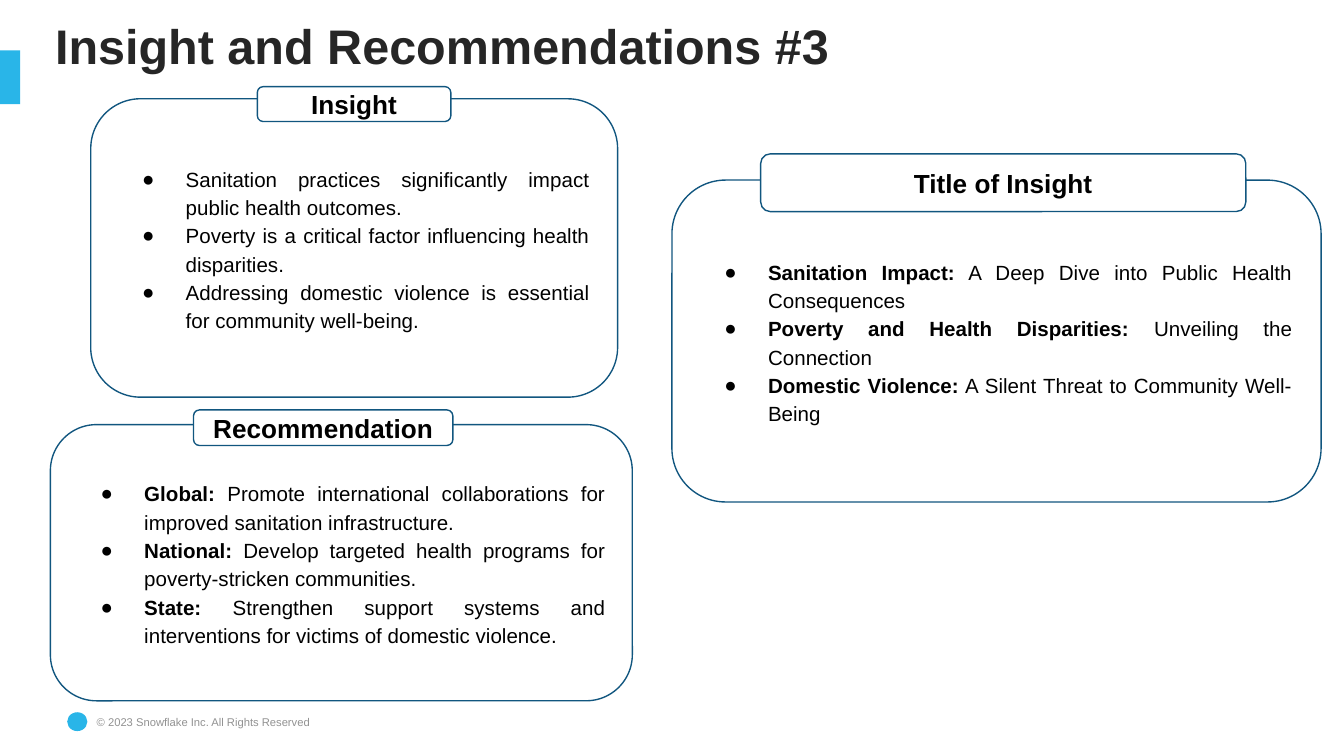
"""Build the insight and recommendations slide with three captioned cards."""
import pptx
import pptx.util
import pptx.dml.color
import pptx.enum.shapes
import pptx.enum.text
import pptx.oxml.ns
import lxml.etree

PX = 4572
SIZE = (2000, 1125)
BLUE, NAVY, WHITE, BLACK = "29B5E8", "11567F", "FFFFFF", "000000"
TITLE = "Insight and Recommendations #3"
CREDIT = "© 2023 Snowflake Inc. All Rights Reserved"
CARDS = [
    {"box": (75, 632, 866, 411), "tab": (288, 610, 386, 53),
     "head": "Recommendation",
     "items": [
         ("Global:", " Promote international collaborations for improved sanitation infrastructure."),
         ("National:", " Develop targeted health programs for poverty-stricken communities."),
         ("State:", " Strengthen support systems and interventions for victims of domestic violence.")]},
    {"box": (135, 147, 784, 444), "tab": (383, 129, 288, 52),
     "head": "Insight",
     "items": [
         ("", "Sanitation practices significantly impact public health outcomes."),
         ("", "Poverty is a critical factor influencing health disparities."),
         ("", "Addressing domestic violence is essential for community well-being.")]},
    {"box": (1000, 268, 966, 479), "tab": (1132, 229, 722, 86),
     "head": "Title of Insight",
     "items": [
         ("Sanitation Impact:", " A Deep Dive into Public Health Consequences"),
         ("Poverty and Health Disparities:", " Unveiling the Connection"),
         ("Domestic Violence:", " A Silent Threat to Community Well-Being")]},
]
KIND = pptx.enum.shapes.MSO_SHAPE
ALIGN = pptx.enum.text.PP_ALIGN
ANCHOR = pptx.enum.text.MSO_ANCHOR


def tint(code):
    return pptx.dml.color.RGBColor.from_string(code)


def style(run, size, code, bold=False):
    font = run.font
    font.name, font.size, font.bold = "Arial", pptx.util.Pt(size), bold
    font.color.rgb = tint(code)


def place(shape, box):
    shape.left, shape.top, shape.width, shape.height = (n * PX for n in box)


def pad(frame, gap):
    frame.margin_left = frame.margin_right = gap * PX
    frame.margin_top = frame.margin_bottom = gap * PX


def plain(slide, kind, box, fill, line=None):
    shape = slide.shapes.add_shape(kind, *(n * PX for n in box))
    shape.shadow.inherit = False
    shape.fill.solid()
    shape.fill.fore_color.rgb = tint(fill)
    if line:
        shape.line.color.rgb = tint(line)
        shape.line.width = pptx.util.Pt(0.75)
    else:
        shape.line.fill.background()
    return shape


def panel(slide, box):
    shape = plain(slide, KIND.ROUNDED_RECTANGLE, box, WHITE, NAVY)
    frame = shape.text_frame
    frame.word_wrap = True
    frame.vertical_anchor = ANCHOR.MIDDLE
    pad(frame, 20)
    return frame


def bullet(para):
    props = para._p.get_or_add_pPr()
    props.set("marL", str(100 * PX))
    props.set("indent", str(-65 * PX))
    name = pptx.oxml.ns.qn
    shade = lxml.etree.SubElement(props, name("a:buClr"))
    lxml.etree.SubElement(shade, name("a:srgbClr"), val=BLACK)
    lxml.etree.SubElement(props, name("a:buFont"), typeface="Arial")
    lxml.etree.SubElement(props, name("a:buChar"), char="●")


def card(slide, data):
    frame = panel(slide, data["box"])
    for rank, (lead, rest) in enumerate(data["items"]):
        para = frame.add_paragraph() if rank else frame.paragraphs[0]
        para.alignment = ALIGN.JUSTIFY
        para.line_spacing = 1.15
        bullet(para)
        for text, bold in ((lead, True), (rest, False)):
            if text:
                run = para.add_run()
                run.text = text
                style(run, 11, BLACK, bold)
    frame = panel(slide, data["tab"])
    frame.text = data["head"]
    para = frame.paragraphs[0]
    para.alignment = ALIGN.CENTER
    style(para.runs[0], 14, BLACK, True)


def title(slide):
    shape = slide.shapes.title
    place(shape, (62, 0, 1210, 128))
    frame = shape.text_frame
    frame.text = TITLE
    frame.word_wrap = True
    frame.auto_size = pptx.enum.text.MSO_AUTO_SIZE.NONE
    frame.vertical_anchor = ANCHOR.TOP
    pad(frame, 20)
    para = frame.paragraphs[0]
    para.alignment = ALIGN.LEFT
    para.line_spacing = 1.05
    para.space_before = pptx.util.Pt(0)
    para.space_after = pptx.util.Pt(10)
    style(para.runs[0], 26, "262626", True)


def footer(slide):
    plain(slide, KIND.OVAL, (100, 1060, 30, 28), BLUE)
    box = slide.shapes.add_textbox(*(n * PX for n in (144, 1065, 368, 20)))
    frame = box.text_frame
    frame.word_wrap = True
    pad(frame, 0)
    frame.text = CREDIT
    style(frame.paragraphs[0].runs[0], 6, "929292")


def main():
    deck = pptx.Presentation()
    deck.slide_width, deck.slide_height = (n * PX for n in SIZE)
    slide = deck.slides.add_slide(deck.slide_layouts[5])
    footer(slide)
    plain(slide, KIND.RECTANGLE, (0, 75, 30, 80), BLUE)
    title(slide)
    for data in CARDS:
        card(slide, data)
    deck.save("out.pptx")


if __name__ == "__main__":
    main()
